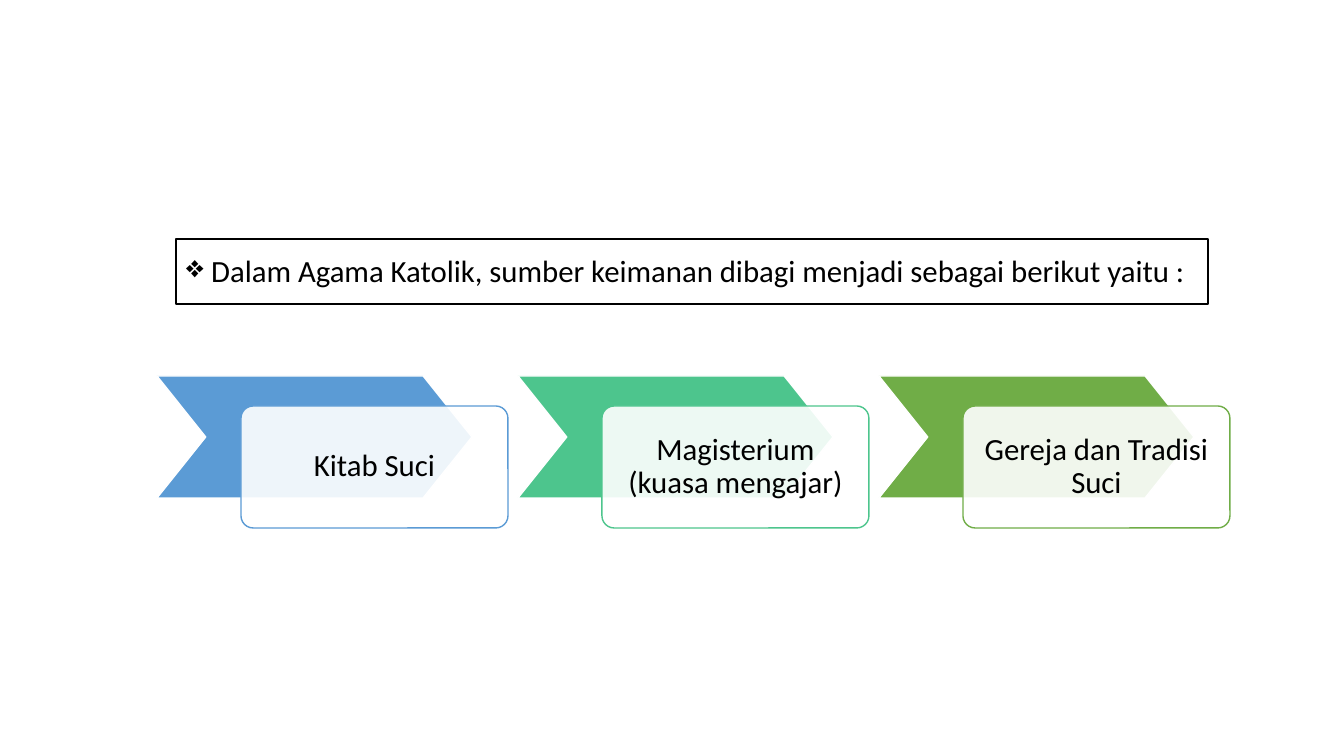
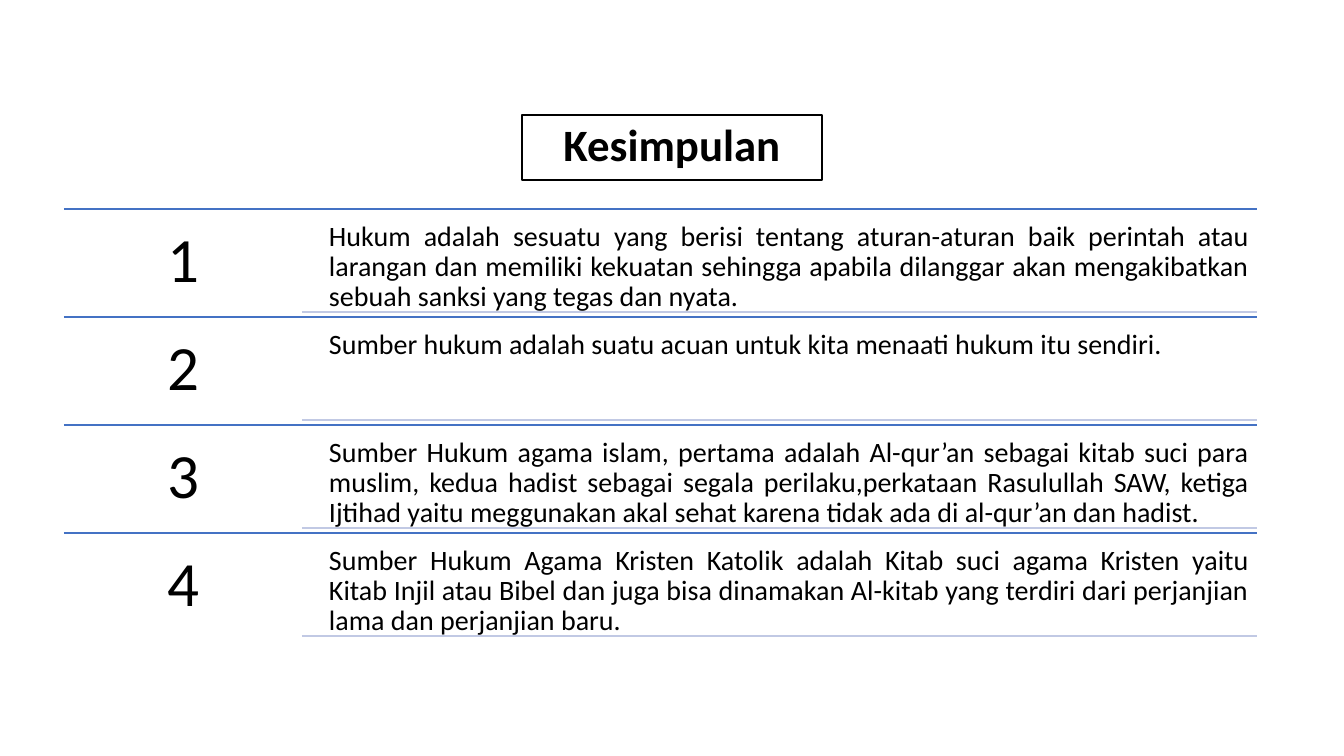
from pptx import Presentation
from pptx.dml.color import RGBColor
from pptx.enum.shapes import MSO_CONNECTOR, MSO_SHAPE
from pptx.enum.text import MSO_ANCHOR, PP_ALIGN
from pptx.oxml.ns import qn
from pptx.util import Emu, Pt
from lxml import etree

PX = 914400 / 100.8
FONT = "Calibri"
BLACK = RGBColor(0x00, 0x00, 0x00)
WHITE = RGBColor(0xFF, 0xFF, 0xFF)
SKY = RGBColor(0x5B, 0x9B, 0xD5)
MINT = RGBColor(0x4D, 0xC5, 0x8D)
GREEN = RGBColor(0x70, 0xAD, 0x47)
BLUE = RGBColor(0x44, 0x72, 0xC4)
PALE = RGBColor(0xC1, 0xC9, 0xE4)
RECT, CHEVRON, ROUND = MSO_SHAPE.RECTANGLE, MSO_SHAPE.CHEVRON, MSO_SHAPE.ROUNDED_RECTANGLE
STRAIGHT = MSO_CONNECTOR.STRAIGHT
TOP, MIDDLE = MSO_ANCHOR.TOP, MSO_ANCHOR.MIDDLE
LEFT, CENTER, JUSTIFY = PP_ALIGN.LEFT, PP_ALIGN.CENTER, PP_ALIGN.JUSTIFY


def add_box(s, kind, box, fill, line):
    sp = s.shapes.add_shape(kind, *[Emu(round(v * PX)) for v in box])
    sp.shadow.inherit = False
    sp.fill.solid()
    sp.fill.fore_color.rgb = fill
    sp.line.color.rgb = line
    sp.line.width = Pt(1)
    return sp


def set_text(sp, text, size, align, anchor, inset_x, inset_y, spacing=0.9):
    tf = sp.text_frame
    tf.word_wrap = True
    tf.vertical_anchor = anchor
    tf.margin_left = tf.margin_right = Emu(round(inset_x * PX))
    tf.margin_top = tf.margin_bottom = Emu(round(inset_y * PX))
    tf.text = text
    p = tf.paragraphs[0]
    p.alignment = align
    p.line_spacing = spacing
    font = p.runs[0].font
    font.name = FONT
    font.size = Pt(size)
    font.color.rgb = BLACK
    return p


prs = Presentation()
prs.slide_width = Emu(round(1344 * PX))
prs.slide_height = Emu(round(756 * PX))
blank = prs.slide_layouts[6]

s = prs.slides.add_slide(blank)
sp = add_box(s, RECT, (176, 239, 1032, 65), WHITE, BLACK)
p = set_text(sp, "Dalam Agama Katolik, sumber keimanan dibagi menjadi sebagai berikut yaitu :",
             22, LEFT, TOP, 10, 5, 1.2)
p.space_before = Pt(10)
pPr = p._p.get_or_add_pPr()
pPr.set("marL", "228600")
pPr.set("indent", "-228600")
etree.SubElement(pPr, qn("a:buChar")).set("char", "❖")

sources = [
    ("Kitab Suci", SKY),
    ("Magisterium (kuasa mengajar)", MINT),
    ("Gereja dan Tradisi Suci", GREEN),
]
for i, (text, color) in enumerate(sources):
    x = 157 + i * 361
    sp = add_box(s, CHEVRON, (x, 376, 315, 122), color, WHITE)
    sp.adjustments[0] = 0.4
    sp = add_box(s, ROUND, (x + 84, 406, 267, 122), WHITE, color)
    sp.adjustments[0] = 0.1
    rgb = sp.fill._xPr.find(qn("a:solidFill"))[0]
    etree.SubElement(rgb, qn("a:alpha")).set("val", "90000")
    set_text(sp, text, 22, CENTER, MIDDLE, 17, 17)

s = prs.slides.add_slide(blank)
sp = add_box(s, RECT, (522, 115, 300, 65), WHITE, BLACK)
p = set_text(sp, "Kesimpulan", 32, CENTER, MIDDLE, 10, 5)
p.runs[0].font.bold = True

conclusions = [
    "Hukum adalah sesuatu yang berisi tentang aturan-aturan baik perintah atau larangan dan "
    "memiliki kekuatan sehingga apabila dilanggar akan mengakibatkan sebuah sanksi yang tegas "
    "dan nyata.",
    "Sumber hukum adalah suatu acuan untuk kita menaati hukum itu sendiri.",
    "Sumber Hukum agama islam, pertama adalah Al-qur’an sebagai kitab suci para muslim, kedua "
    "hadist sebagai segala perilaku,perkataan Rasulullah SAW, ketiga Ijtihad yaitu meggunakan "
    "akal sehat karena tidak ada di al-qur’an dan hadist.",
    "Sumber Hukum Agama Kristen Katolik adalah Kitab suci agama Kristen yaitu Kitab Injil atau "
    "Bibel dan juga bisa dinamakan Al-kitab yang terdiri dari perjanjian lama dan perjanjian "
    "baru.",
]
row_left, row_right, row_h = 64, 1257, 108
for i, text in enumerate(conclusions):
    y = 209 + i * row_h
    for x, line_y, color in ((row_left, y, BLUE), (302, y + 103, PALE)):
        ends = [Emu(round(v * PX)) for v in (x, line_y, row_right, line_y)]
        line = s.shapes.add_connector(STRAIGHT, *ends)
        line.line.color.rgb = color
        line.line.width = Pt(1)
        etree.SubElement(line._element.spPr, qn("a:effectLst"))
    cells = (
        (str(i + 1), (row_left, y, 239, row_h), 45, CENTER, 19),
        (text, (321, y + 5, row_right - 321, 98), 20, JUSTIFY, 8),
    )
    for words, box, size, align, inset in cells:
        sp = s.shapes.add_textbox(*[Emu(round(v * PX)) for v in box])
        set_text(sp, words, size, align, TOP, inset, inset)

prs.save("out.pptx")
